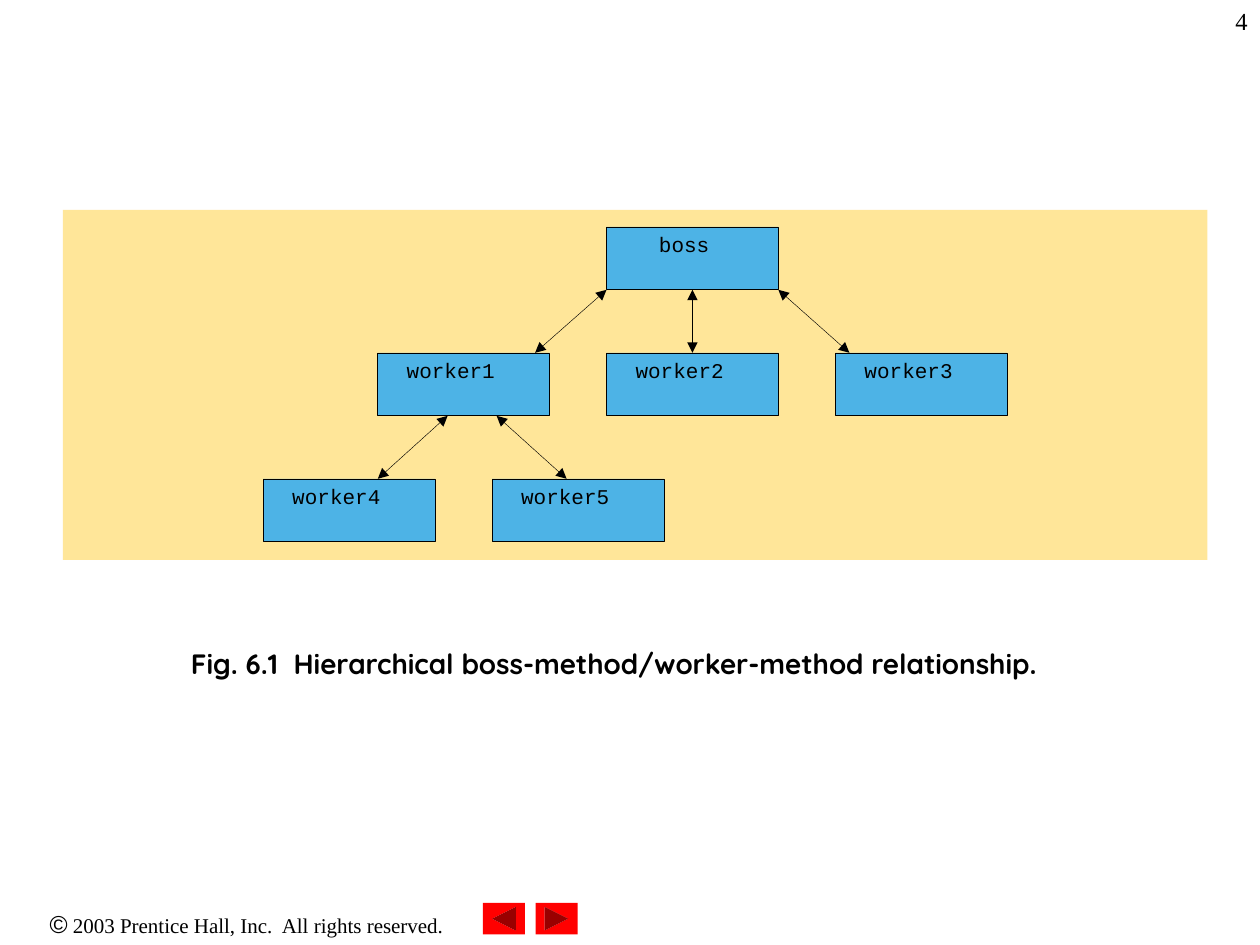
from lxml import etree
from pptx import Presentation
from pptx.dml.color import RGBColor
from pptx.enum.shapes import MSO_CONNECTOR, MSO_SHAPE
from pptx.enum.text import MSO_ANCHOR, PP_ALIGN
from pptx.oxml.ns import qn
from pptx.util import Pt

RECTANGLE = MSO_SHAPE.RECTANGLE
NEXT_BUTTON = MSO_SHAPE.ACTION_BUTTON_FORWARD_OR_NEXT
STRAIGHT = MSO_CONNECTOR.STRAIGHT
LEFT, CENTER, RIGHT = PP_ALIGN.LEFT, PP_ALIGN.CENTER, PP_ALIGN.RIGHT
TOP_SIDE, BOTTOM_SIDE = 0, 2

THEME = {
    "ink": "000000", "panel": "FFE699", "box": "4DB3E6", "button": "FF0000",
    "code": ("Courier New", 12), "caption": ("Quicksand", 16),
    "symbol": ("Arial", 14), "footer": ("Times New Roman", 12),
    "number": ("Times New Roman", 14), "line": 0.25,
}

# name: (half-column, row, label indent)
METHODS = {
    "boss": (3, 0, 30),
    "worker1": (1, 1, 16.6),
    "worker2": (3, 1, 16.6),
    "worker3": (5, 1, 16.6),
    "worker4": (0, 2, 16.6),
    "worker5": (2, 2, 16.6),
}
# caller, distance along its bottom, worker, distance along its top
BOX_WIDTH, BOX_HEIGHT = 98.2, 36
MIDDLE = BOX_WIDTH / 2
CALLS = [
    ("boss", 0, "worker1", 90),
    ("boss", MIDDLE, "worker2", MIDDLE),
    ("boss", BOX_WIDTH, "worker3", 8),
    ("worker1", 40, "worker4", 65.5),
    ("worker1", 68, "worker5", 42.6),
]
GRID_LEFT, GRID_TOP, HALF_COLUMN, ROW = 150.4, 129.6, 65.4, 72
CAPTION = "Fig. 6.1  Hierarchical boss-method/worker-method relationship."
COPYRIGHT = [("©", "symbol"), (" 2003 Prentice Hall, Inc.  All rights reserved.", "footer")]
BUTTONS = [(276, 180), (306, 0)]  # left edge, rotation


def color(name):
    return RGBColor.from_string(THEME[name])


def write(shape, text, style=None, bold=False, align=LEFT, margins=(7.2, 3.6, 7.2, 3.6),
          spacing=None, wrap=True):
    """Fill a shape with one paragraph; text is a string or (text, style) pairs."""
    frame = shape.text_frame
    frame.word_wrap = wrap
    frame.vertical_anchor = MSO_ANCHOR.TOP
    frame.margin_left, frame.margin_top, frame.margin_right, frame.margin_bottom = map(Pt, margins)
    para = frame.paragraphs[0]
    para.alignment = align
    if spacing:
        para.line_spacing = spacing
    for words, kind in [(text, style)] if style else text:
        span = para.add_run()
        span.text = words
        name, size = THEME[kind]
        span.font.name, span.font.size, span.font.bold = name, Pt(size), bold
        span.font.color.rgb = color("ink")


def add_text(page, left, top, width, height, text, **style):
    write(page.shapes.add_textbox(Pt(left), Pt(top), Pt(width), Pt(height)), text, **style)


def add_shape(page, kind, left, top, width, height, fill, outlined=False):
    shape = page.shapes.add_shape(kind, Pt(left), Pt(top), Pt(width), Pt(height))
    shape.shadow.inherit = False
    shape.fill.solid()
    shape.fill.fore_color.rgb = color(fill)
    if outlined:
        shape.line.color.rgb = color("ink")
        shape.line.width = Pt(THEME["line"])
    else:
        shape.line.fill.background()
    return shape


def corner(name):
    column, row, _ = METHODS[name]
    return GRID_LEFT + column * HALF_COLUMN, GRID_TOP + row * ROW


def add_call(page, boxes, caller, start, worker, end):
    """Draw a double-headed arrow, joined to the boxes where it meets side middles."""
    x1, y1 = corner(caller)
    x2, y2 = corner(worker)
    arrow = page.shapes.add_connector(
        STRAIGHT, Pt(x1 + start), Pt(y1 + BOX_HEIGHT), Pt(x2 + end), Pt(y2))
    if start == MIDDLE:
        arrow.begin_connect(boxes[caller], BOTTOM_SIDE)
    if end == MIDDLE:
        arrow.end_connect(boxes[worker], TOP_SIDE)
    arrow.line.color.rgb = color("ink")
    arrow.line.width = Pt(THEME["line"])
    line = arrow.line._get_or_add_ln()
    for tip in ("a:headEnd", "a:tailEnd"):
        etree.SubElement(line, qn(tip), type="triangle")
    etree.SubElement(arrow._element.spPr, qn("a:effectLst"))


def main():
    deck = Presentation()
    deck.slide_width, deck.slide_height = Pt(720), Pt(540)
    page = deck.slides.add_slide(deck.slide_layouts[6])

    add_text(page, 0, 516, 282, 24.5, COPYRIGHT, align=CENTER)
    for left, rotation in BUTTONS:
        button = add_shape(page, NEXT_BUTTON, left, 516, 24, 18, "button")
        button.rotation = rotation
    add_text(page, 102, 366, 522, 24, CAPTION, style="caption", bold=True)

    add_shape(page, RECTANGLE, 36, 120, 654, 200, "panel")
    boxes = {}
    for name, (_, _, indent) in METHODS.items():
        box = add_shape(page, RECTANGLE, *corner(name), BOX_WIDTH, BOX_HEIGHT, "box", outlined=True)
        write(box, name, style="code", margins=(indent, 7.2, 0, 0), spacing=0.64, wrap=False)
        boxes[name] = box
    for call in CALLS:
        add_call(page, boxes, *call)

    add_text(page, 570, 0, 150, 36, "4", style="number", align=RIGHT)
    deck.save("out.pptx")


if __name__ == "__main__":
    main()
